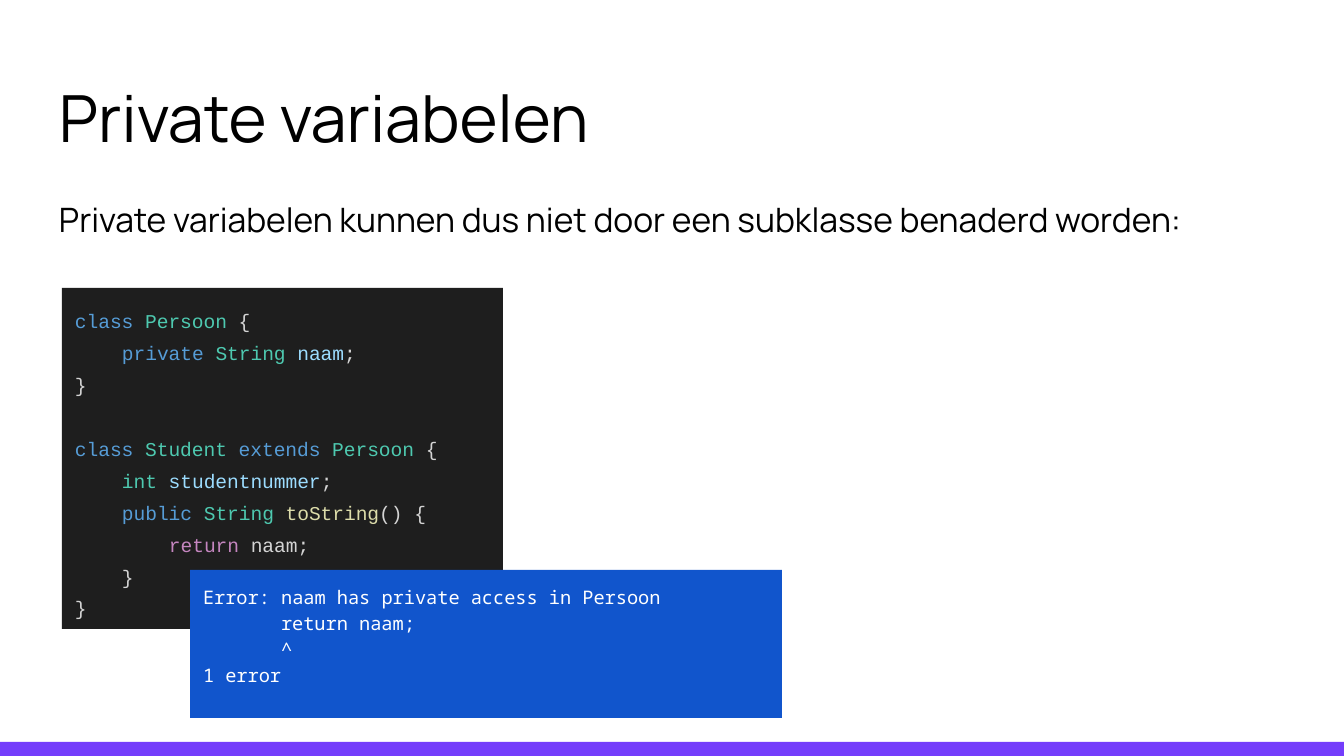
from pptx import Presentation
from pptx.dml.color import RGBColor
from pptx.enum.shapes import MSO_SHAPE as Shape
from pptx.enum.text import MSO_ANCHOR as Anchor, MSO_AUTO_SIZE as AutoSize, PP_ALIGN as Align
from pptx.util import Pt
from lxml.etree import SubElement
from pptx.oxml.ns import qn

EMU_PER_PX = 914400 / 134.4
INSET = 13

KEYWORD = "569CD6"
TYPE = "4EC9B0"
VARIABLE = "9CDCFE"
METHOD = "DCDCAA"
CONTROL = "C586C0"
PLAIN = "D4D4D4"

CODE_INDENT = 47
CODE_GAP = 17
CODE_LINES = [
    (0, 0, [("class ", KEYWORD), ("Persoon", TYPE), (" {", PLAIN)]),
    (1, 0, [("private ", KEYWORD), ("String ", TYPE), ("naam", VARIABLE), (";", PLAIN)]),
    (0, 0, [("}", PLAIN)]),
    (0, CODE_GAP, [("class ", KEYWORD), ("Student ", TYPE), ("extends ", KEYWORD),
                   ("Persoon", TYPE), (" {", PLAIN)]),
    (1, 0, [("int ", TYPE), ("studentnummer", VARIABLE), (";", PLAIN)]),
    (1, 0, [("public ", KEYWORD), ("String ", TYPE), ("toString", METHOD), ("() {", PLAIN)]),
    (2, 0, [("return", CONTROL), (" naam;", PLAIN)]),
    (1, 0, [("}", PLAIN)]),
    (0, 0, [("}", PLAIN)]),
]

ERROR_INDENT = 78
ERROR_LINES = [
    (0, "Error: naam has private access in Persoon"),
    (1, "return naam;"),
    (1, "^"),
    (0, "1 error"),
]


def px(length):
    return round(length * EMU_PER_PX)


def color(value):
    return RGBColor.from_string(value)


def place(shape, box):
    shape.left, shape.top, shape.width, shape.height = map(px, box)


def fill_solid(shape, value):
    shape.fill.solid()
    shape.fill.fore_color.rgb = color(value)


def add_rectangle(slide, box, value):
    rectangle = slide.shapes.add_shape(Shape.RECTANGLE, *map(px, box))
    fill_solid(rectangle, value)
    rectangle.line.fill.background()
    rectangle.shadow.inherit = False
    return rectangle


def prepare_frame(shape, anchor=Anchor.TOP):
    frame = shape.text_frame
    frame.margin_left = frame.margin_right = px(INSET)
    frame.margin_top = frame.margin_bottom = px(INSET)
    frame.word_wrap = True
    frame.auto_size = AutoSize.NONE
    frame.vertical_anchor = anchor
    return frame


def add_line(frame, index, runs, font, size, spacing=1.0, indent=0, before=0, after=0):
    paragraph = frame.paragraphs[0] if index == 0 else frame.add_paragraph()
    paragraph.alignment = Align.LEFT
    paragraph.line_spacing = spacing
    paragraph.space_before = Pt(before)
    paragraph.space_after = Pt(after)
    properties = paragraph._p.get_or_add_pPr()
    properties.set("marL", str(px(indent)))
    properties.set("indent", "0")
    SubElement(properties, qn("a:buNone"))
    paragraph.font.name = font
    paragraph.font.size = Pt(size)
    if len({value for _, value in runs}) == 1:
        paragraph.font.color.rgb = color(runs[0][1])
    for text, value in runs:
        run = paragraph.add_run()
        run.text = text
        if len(runs) > 1:
            run.font.color.rgb = color(value)


def place_title(title, box):
    place(title, box)
    frame = prepare_frame(title, Anchor.BOTTOM)
    add_line(frame, 0, [("Private variabelen", "000000")], "Manrope", 34.8)


def place_explanation(explanation, box):
    place(explanation, box)
    frame = prepare_frame(explanation)
    sentence = "Private variabelen kunnen dus niet door een subklasse benaderd worden:"
    add_line(frame, 0, [(sentence, "000000")], "Manrope", 18, spacing=1.15, after=12)


def add_code(slide, box):
    frame = prepare_frame(add_rectangle(slide, box, "1E1E1E"))
    for index, (level, gap, runs) in enumerate(CODE_LINES):
        add_line(frame, index, runs, "Courier New", 10.5, spacing=1.36,
                 indent=level * CODE_INDENT, before=gap)


def place_error(slide, error, box):
    place(error, box)
    fill_solid(error, "1155CC")
    frame = prepare_frame(error)
    for index, (level, text) in enumerate(ERROR_LINES):
        add_line(frame, index, [(text, "FFFFFF")], "Noto Sans Mono", 10, spacing=1.15,
                 indent=level * ERROR_INDENT)
    slide.shapes.element.append(error.element)


def main():
    presentation = Presentation()
    presentation.slide_width, presentation.slide_height = px(1344), px(756)
    slide = presentation.slides.add_slide(presentation.slide_layouts[3])
    title, explanation, error = list(slide.placeholders)[:3]

    add_rectangle(slide, (0, 742, 1344, 14), "743DFB")
    place_title(title, (46, 47, 1252, 122))
    place_explanation(explanation, (46, 180, 1252, 493))
    add_code(slide, (62, 288, 441, 341))
    place_error(slide, error, (190, 570, 592, 148))

    presentation.save("out.pptx")


if __name__ == "__main__":
    main()
